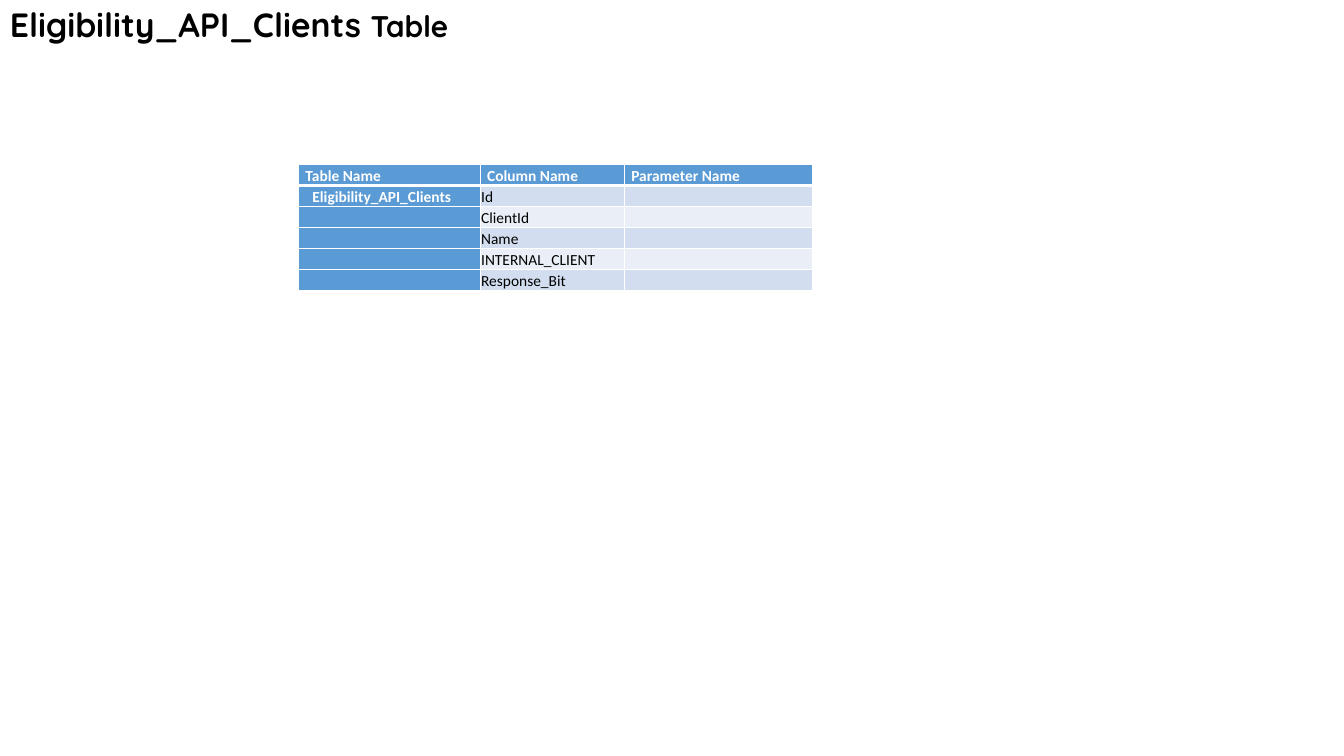
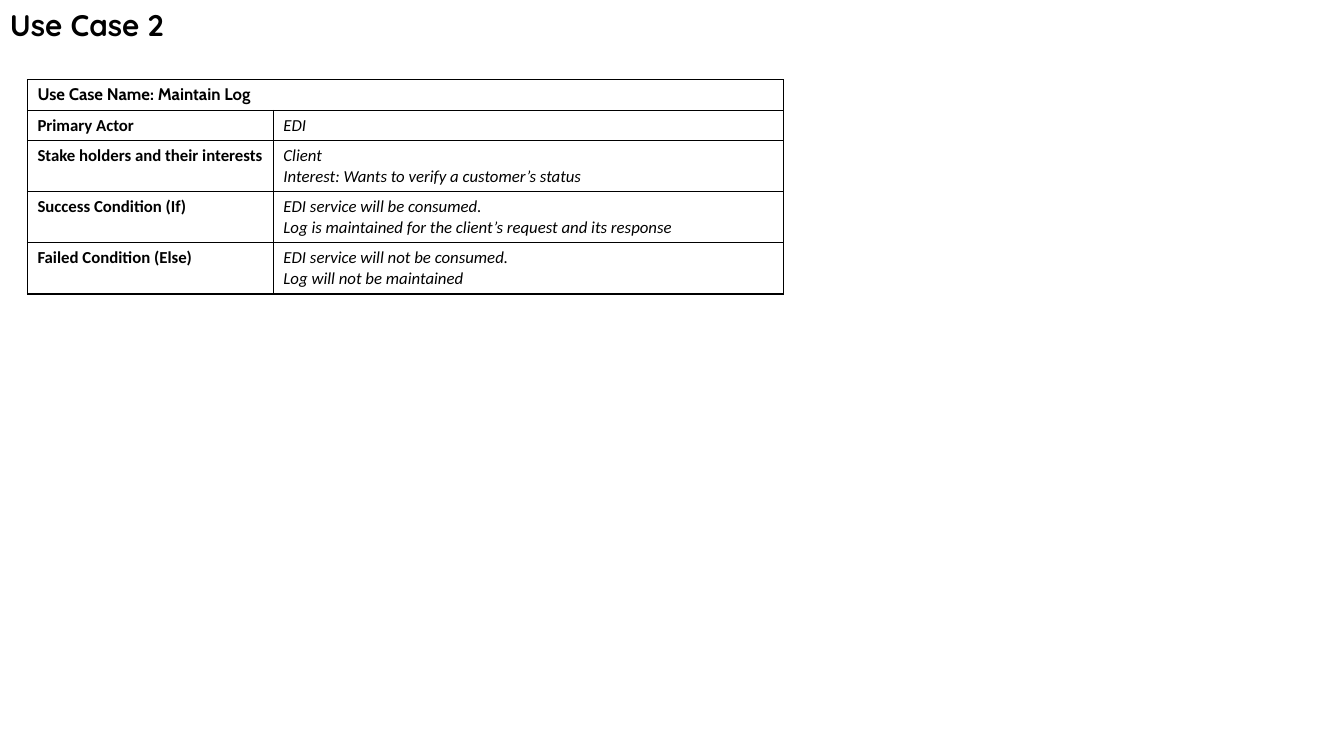
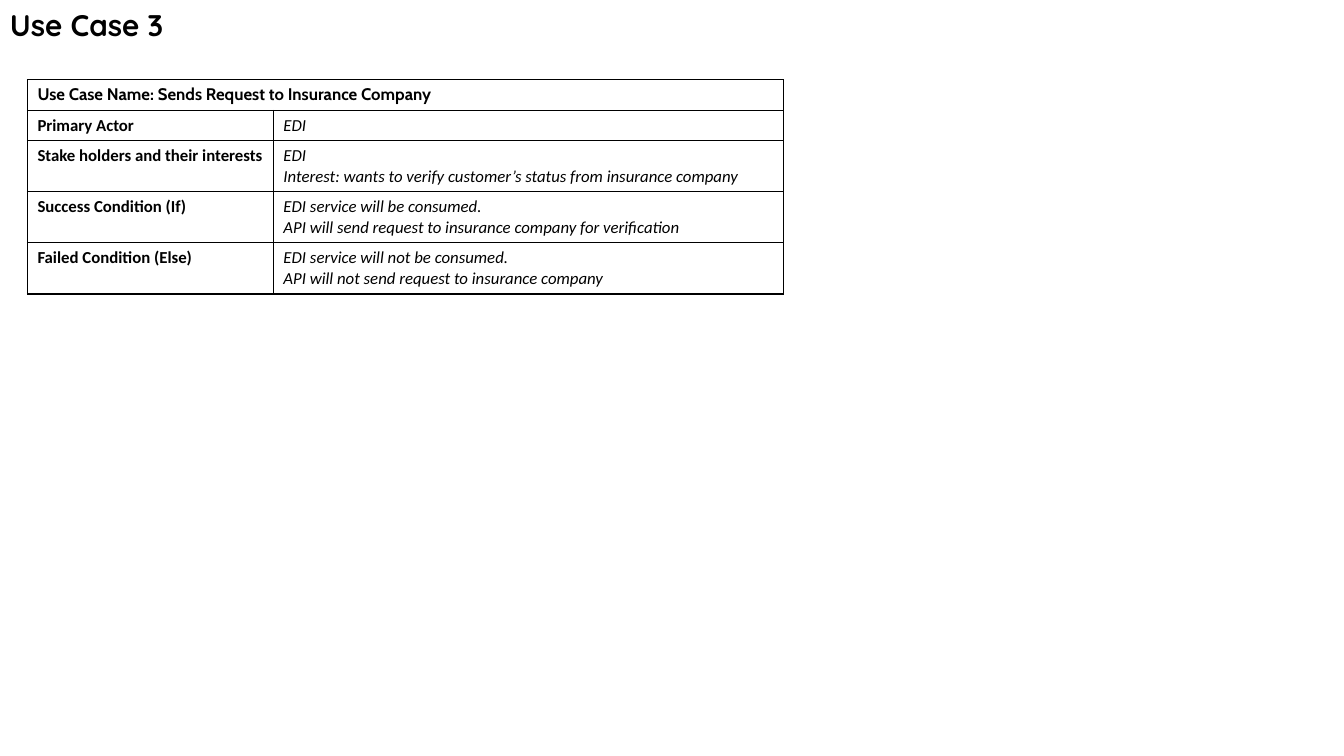
"""Build three slides: a client table definition and two use cases."""
from dataclasses import dataclass

from lxml.etree import SubElement
from pptx import Presentation
from pptx.dml.color import RGBColor
from pptx.enum.text import MSO_ANCHOR
from pptx.oxml.ns import qn
from pptx.util import Pt


@dataclass(frozen=True)
class Theme:
    black: str = "000000"
    white: str = "FFFFFF"
    blue: str = "5B9BD5"
    bands: tuple = ("D2DEEF", "EAEFF7")
    title_font: str = "Quicksand"
    name_font: str = "Cabin"
    body_font: str = "Calibri"
    title_size: float = 21.3
    big_title_size: float = 24
    column_size: float = 11
    case_size: float = 12


T = Theme()


def add_titled_table(title, left, top, widths, heights):
    s = prs.slides.add_slide(prs.slide_layouts[6])
    tf = s.shapes.add_textbox(0, Pt(0.7), prs.slide_width, Pt(36.7)).text_frame
    tf.word_wrap = True
    tf.vertical_anchor = MSO_ANCHOR.MIDDLE
    p = tf.paragraphs[0]
    p.line_spacing = 0.9
    p.font.name = T.title_font
    p.font.bold = True
    p.font.color.rgb = RGBColor.from_string(T.black)
    for text, size in title:
        r = p.add_run()
        r.text = text
        r.font.size = Pt(size)
    table = s.shapes.add_table(len(heights), len(widths), Pt(left), Pt(top),
                               Pt(sum(widths)), Pt(sum(heights))).table
    table.first_row = table.horz_banding = False
    for column, width in zip(table.columns, widths):
        column.width = Pt(width)
    for row, height in zip(table.rows, heights):
        row.height = Pt(height)
    return table


def style_cell(cell, text, size, color, line, top=1, bottom=1, fill=None,
               font=T.body_font, bold=False, italic=False):
    cell.text = text
    for p in cell.text_frame.paragraphs:
        p.font.name = font
        p.font.size = Pt(size)
        p.font.bold = bold
        p.font.italic = italic
        p.font.color.rgb = RGBColor.from_string(color)
        if not text:
            SubElement(p._p, qn("a:endParaRPr"), sz=str(size * 100))
    tcPr = cell._tc.get_or_add_tcPr()
    for side, width in zip("LRTB", (1, 1, top, bottom)):
        ln = SubElement(tcPr, qn(f"a:ln{side}"), w=str(Pt(width)))
        SubElement(SubElement(ln, qn("a:solidFill")), qn("a:srgbClr"), val=line)
    if fill:
        cell.fill.solid()
        cell.fill.fore_color.rgb = RGBColor.from_string(fill)
    else:
        cell.fill.background()


prs = Presentation()
prs.slide_width, prs.slide_height = Pt(960), Pt(540)

client_rows = [("Table Name", "Column Name", "Parameter Name"),
               ("Eligibility_API_Clients", "Id", ""),
               ("", "ClientId", ""),
               ("", "Name", ""),
               ("", "INTERNAL_CLIENT", ""),
               ("", "Response_Bit", "")]
table = add_titled_table(
    [("Eligibility_API_Clients ", T.big_title_size), ("Table", T.title_size)],
    213.2, 117.5, (129.8, 103, 134.8), [15] * len(client_rows))
for i, row in enumerate(client_rows):
    for j, text in enumerate(row):
        cell = table.cell(i, j)
        heading = i == 0 or j == 0
        style_cell(cell, text, T.column_size, T.white if heading else T.black, T.white,
                   top=3 if i == 1 else 1, bottom=3 if i == 0 else 1,
                   fill=T.blue if heading else T.bands[(i - 1) % 2], bold=heading)
        cell.vertical_anchor = MSO_ANCHOR.BOTTOM
        cell.margin_left = Pt(5 if i == 0 else 10 if j == 0 else 0.7)
        cell.margin_right = Pt(5 if heading else 0.7)
        cell.margin_top = cell.margin_bottom = 0

labels = ("Primary Actor", "Stake holders and their interests",
          "Success Condition (If)", "Failed Condition (Else)")
use_cases = [
    ("Use Case 2", "Maintain Log",
     ("EDI",
      "Client\nInterest: Wants to verify a customer’s status",
      "EDI service will be consumed.\n"
      "Log is maintained for the client’s request and its response",
      "EDI service will not be consumed.\nLog will not be maintained")),
    ("Use Case 3", "Sends Request to Insurance Company",
     ("EDI",
      "EDI\nInterest: wants to verify customer’s status from insurance company",
      "EDI service will be consumed.\n"
      "API will send request to insurance company for verification",
      "EDI service will not be consumed.\n"
      "API will not send request to insurance company")),
]
for title, name, details in use_cases:
    table = add_titled_table([(title, T.title_size)], 19.6, 56.9, (175.7, 364.3),
                             (22, 21.6, 36.5, 36.5, 36.5))
    rows = [(f"Use Case Name: {name}", ""), *zip(labels, details)]
    for i, row in enumerate(rows):
        for j, text in enumerate(row):
            style_cell(table.cell(i, j), text, T.case_size, T.black, T.black,
                       font=T.body_font if i else T.name_font,
                       bold=j == 0, italic=j == 1)
    table.cell(0, 0).merge(table.cell(0, 1))

prs.save("out.pptx")
